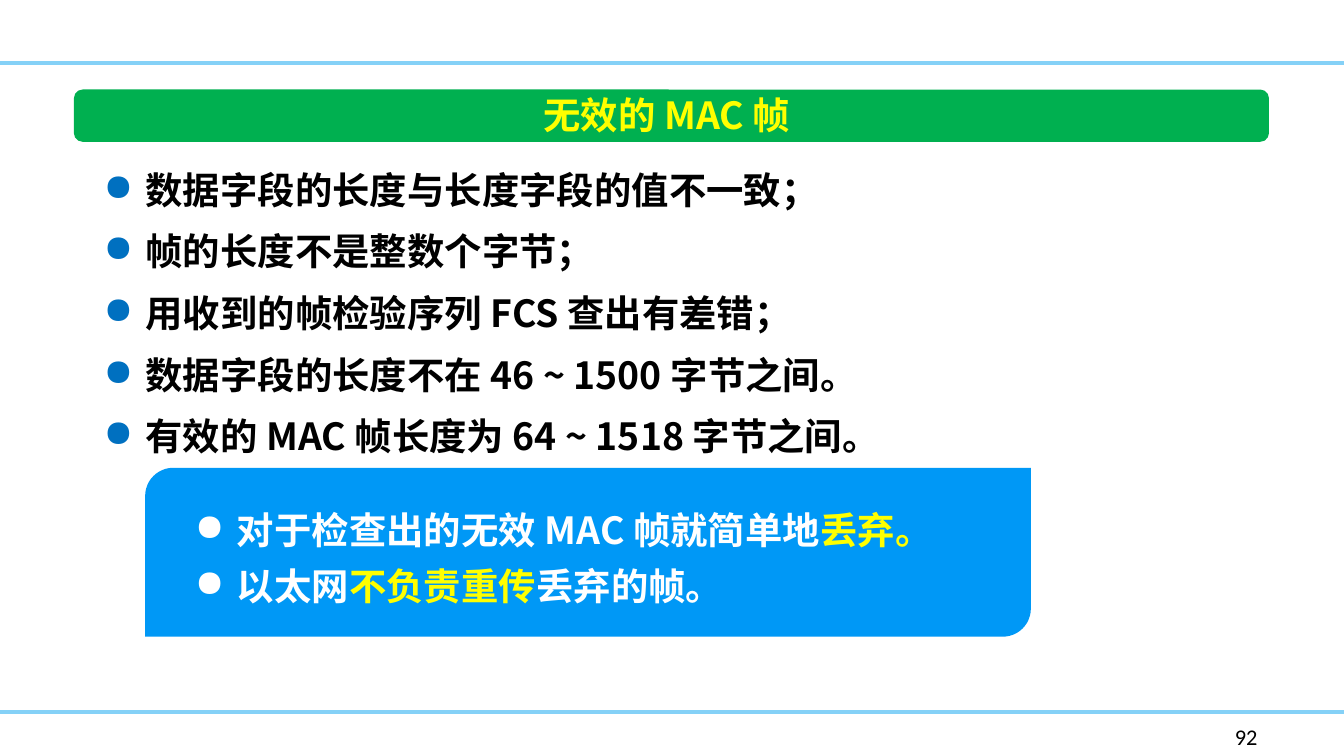
from lxml.etree import SubElement
from pptx import Presentation
from pptx.dml.color import RGBColor
from pptx.enum.shapes import MSO_CONNECTOR, MSO_SHAPE
from pptx.enum.text import MSO_ANCHOR, PP_ALIGN
from pptx.oxml.ns import qn
from pptx.util import Pt

SKY = RGBColor(0x85, 0xD1, 0xF7)
BLUE = RGBColor(0x00, 0x98, 0xF6)
BULLET_BLUE = RGBColor(0x00, 0x70, 0xC0)
GREEN = RGBColor(0x00, 0xB0, 0x50)
YELLOW = RGBColor(0xFF, 0xFF, 0x00)
WHITE = RGBColor(0xFF, 0xFF, 0xFF)
BLACK = RGBColor(0x00, 0x00, 0x00)
HEADING_FONT = "Noto Sans CJK SC"

deck = Presentation()
deck.slide_width = Pt(720)
deck.slide_height = Pt(405)
page = deck.slides.add_slide(deck.slide_layouts[6])


def add_text(left, top, width, height, wrap=True):
    box = page.shapes.add_textbox(Pt(left), Pt(top), Pt(width), Pt(height))
    box.text_frame.word_wrap = wrap
    box.text_frame.vertical_anchor = MSO_ANCHOR.TOP
    return box.text_frame


def add_span(para, text, color, size=20, font=HEADING_FONT, bold=True):
    span = para.add_run()
    span.text = text
    span.font.size = Pt(size)
    span.font.bold = bold
    span.font.color.rgb = color
    span.font.name = font
    SubElement(span.font._element, qn("a:ea"), typeface=font)


for top in (33.75, 381.6):
    rule = page.shapes.add_connector(MSO_CONNECTOR.STRAIGHT, 0, Pt(top), Pt(720), Pt(top))
    rule.line.color.rgb = SKY
    rule.line.width = Pt(2)
    SubElement(rule._element.spPr, qn("a:effectLst"))

panels = [
    (MSO_SHAPE.ROUND_2_DIAG_RECTANGLE, 77.75, 250.6, 474.5, 90.5, BLUE),
    (MSO_SHAPE.ROUNDED_RECTANGLE, 39.6, 48, 640.2, 28, GREEN),
]
for kind, left, top, width, height, color in panels:
    panel = page.shapes.add_shape(kind, Pt(left), Pt(top), Pt(width), Pt(height))
    panel.shadow.inherit = False
    panel.fill.solid()
    panel.fill.fore_color.rgb = color
    panel.line.fill.background()

conditions = [
    [("数据字段的长度与长度字段的值不一致；", BLACK)],
    [("帧的长度不是整数个字节；", BLACK)],
    [("用收到的帧检验序列 FCS 查出有差错；", BLACK)],
    [("数据字段的长度不在 46 ~ 1500 字节之间。", BLACK)],
    [("有效的 MAC 帧长度为 64 ~ 1518 字节之间。", BLACK)],
]
handling = [
    [("对于检查出的无效 MAC 帧就简单地", WHITE), ("丢弃。", YELLOW)],
    [("以太网", WHITE), ("不负责重传", YELLOW), ("丢弃的帧。", WHITE)],
]
lists = [
    (conditions, (48.4, 77, 627, 174), 33, BULLET_BLUE),
    (handling, (97.4, 262, 435, 65), 30, WHITE),
]
for items, place, spacing, bullet_color in lists:
    frame = add_text(*place)
    for index, item in enumerate(items):
        para = frame.add_paragraph() if index else frame.paragraphs[0]
        para.line_spacing = Pt(spacing)
        props = para._p.get_or_add_pPr()
        props.set("marL", str(Pt(22.5)))
        props.set("indent", str(Pt(-22.5)))
        bullet_fill = SubElement(props, qn("a:buClr"))
        SubElement(bullet_fill, qn("a:srgbClr"), val=str(bullet_color))
        SubElement(props, qn("a:buChar"), char="●")
        for text, color in item:
            add_span(para, text, color)

title = add_text(278, 46, 163, 31.5, wrap=False).paragraphs[0]
title.alignment = PP_ALIGN.CENTER
add_span(title, "无效的 MAC 帧 ", YELLOW)

number = add_text(654.5, 383.75, 47, 21.5).paragraphs[0]
add_span(number, "92", BLACK, 12, "Calibri", False)

deck.save("out.pptx")
